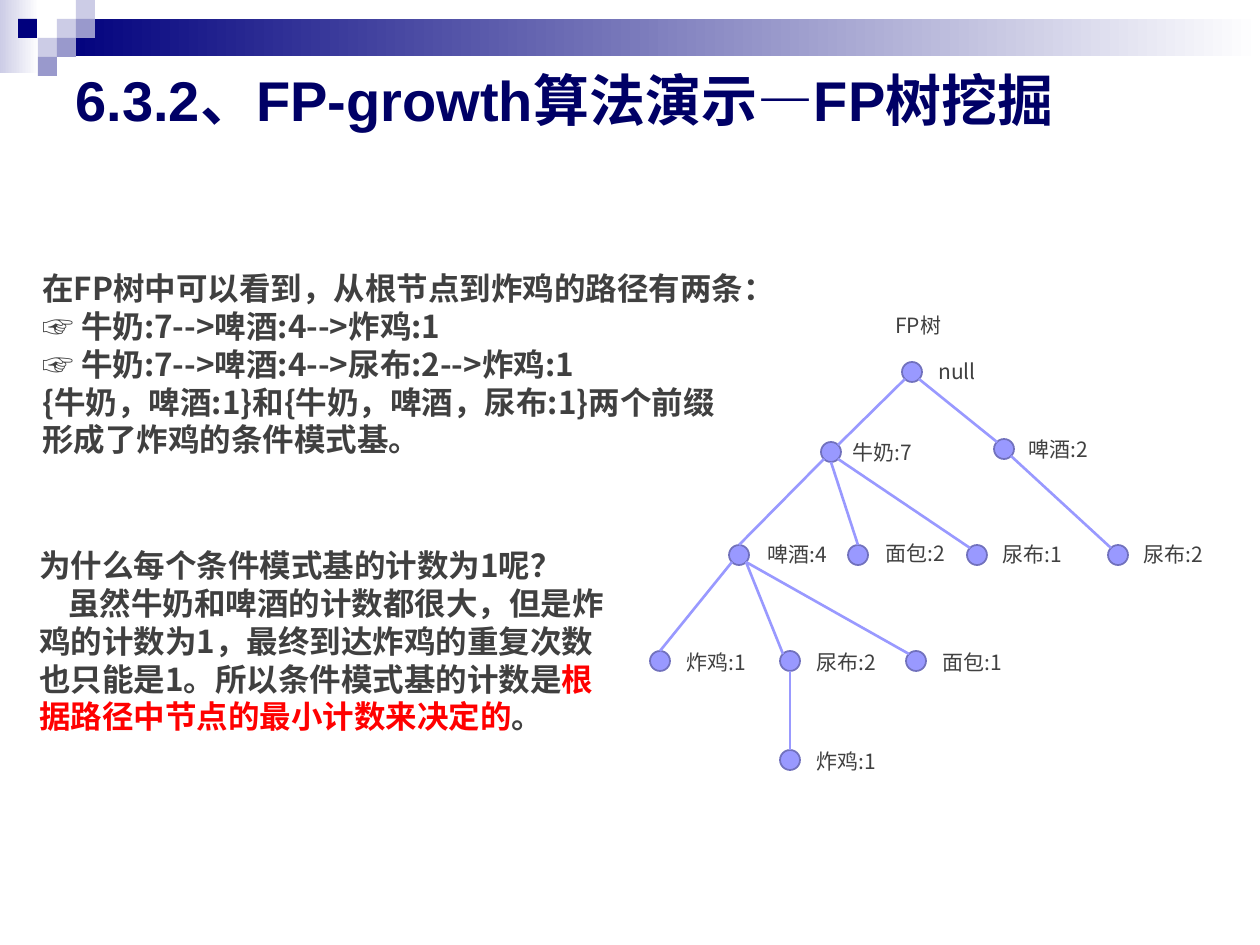
import pptx
import pptx.dml.color
import pptx.enum.shapes
import pptx.enum.text
import pptx.oxml
import pptx.oxml.ns
import pptx.util
import lxml.etree

RGB = pptx.dml.color.RGBColor
SHAPE = pptx.enum.shapes.MSO_SHAPE
NAVY = RGB(0x00, 0x00, 0x7D)
TITLE_NAVY = RGB(0x00, 0x00, 0x66)
LAVENDER = RGB(0xCC, 0xCC, 0xE6)
MUTED_BLUE = RGB(0x99, 0x99, 0xCC)
NODE_FILL = RGB(0x99, 0x99, 0xFF)
NODE_LINE = RGB(0x71, 0x71, 0xBD)
INK = RGB(0x40, 0x40, 0x40)
RED = RGB(0xFF, 0x00, 0x00)
WHITE = RGB(0xFF, 0xFF, 0xFF)
FONT = "Noto Sans CJK SC"
RADIUS = 10
SITES = {"top": (0, -10), "bottom": (0, 10), "top left": (-7, -7),
         "top right": (7, -7), "bottom left": (-7, 7), "bottom right": (7, 7)}

SQUARES = [(57, 19, LAVENDER), (76, 0, LAVENDER), (76, 19, MUTED_BLUE),
           (38, 38, LAVENDER), (18, 19, NAVY), (57, 38, MUTED_BLUE),
           (38, 57, MUTED_BLUE)]

NODES = {
    "root": (912, 372, "null", 926, 352, 63),
    "milk": (831, 452, "牛奶:7", 840, 433, 86),
    "beer right": (1004, 449, "啤酒:2", 1016, 430, 86),
    "beer": (739, 555, "啤酒:4", 755, 535, 86),
    "bread": (858, 555, "面包:2", 873, 534, 86),
    "diaper": (977, 555, "尿布:1", 990, 535, 86),
    "diaper right": (1118, 555, "尿布:2", 1131, 535, 86),
    "chicken": (660, 661, "炸鸡:1", 674, 643, 86),
    "diaper low": (790, 661, "尿布:2", 804, 643, 86),
    "bread low": (916, 661, "面包:1", 930, 643, 86),
    "chicken low": (790, 760, "炸鸡:1", 804, 742, 86),
}

EDGES = [
    ("root", "bottom left", "milk", "top right"),
    ("root", "bottom right", "beer right", "top left"),
    ("milk", "bottom left", "beer", "top"),
    ("milk", "bottom", "bread", "top"),
    ("beer", "bottom left", "chicken", "top"),
    ("beer", "bottom right", "diaper low", "top left"),
    ("diaper low", "bottom", "chicken low", "top"),
    ("beer", "bottom right", "bread low", "top left"),
    ("milk", "bottom right", "diaper", "top left"),
    ("beer right", "bottom right", "diaper right", "top left"),
]

PATHS = ["在FP树中可以看到，从根节点到炸鸡的路径有两条：",
         "☞ 牛奶:7-->啤酒:4-->炸鸡:1",
         "☞ 牛奶:7-->啤酒:4-->尿布:2-->炸鸡:1",
         "{牛奶，啤酒:1}和{牛奶，啤酒，尿布:1}两个前缀",
         "形成了炸鸡的条件模式基。"]
REASON = [("虽然牛奶和啤酒的计数都很大，但是炸鸡的计数为1，最终到达炸鸡的"
           "重复次数也只能是1。所以条件模式基的计数是", INK),
          ("根据路径中节点的最小计数来决定的", RED), ("。", INK)]


def px(length):
    """Turn pixels into EMU."""
    return pptx.util.Emu(round(length * 914400 / 126))


def add_run(paragraph, text, size=18, color=INK, bold=False, font=FONT):
    """Add formatted text to a paragraph."""
    run = paragraph.add_run()
    run.text = text
    run.font.size = pptx.util.Pt(size)
    run.font.bold = bold
    run.font.color.rgb = color
    run.font.name = font
    east_asian = lxml.etree.SubElement(
        run.font._element, pptx.oxml.ns.qn("a:ea"))
    east_asian.set("typeface", FONT)


class SlideBuilder:
    """Style and current slide."""

    def __init__(self, slide):
        """Keep the slide to draw on."""
        self.slide = slide

    def title(self, text, left, top, width, height):
        """Fill and place the title."""
        shape = self.slide.shapes.title
        shape.left, shape.top, shape.width, shape.height = map(
            px, (left, top, width, height))
        frame = shape.text_frame
        frame.auto_size = pptx.enum.text.MSO_AUTO_SIZE.NONE
        frame.vertical_anchor = pptx.enum.text.MSO_ANCHOR.MIDDLE
        paragraph = frame.paragraphs[0]
        paragraph.alignment = pptx.enum.text.PP_ALIGN.LEFT
        add_run(paragraph, text, size=32, color=TITLE_NAVY, bold=True, font="Arial")

    def shape(self, kind, left, top, width, height, color, fade=False, line=None):
        """Add a preset shape, solid or fading to white."""
        shape = self.slide.shapes.add_shape(
            kind, px(left), px(top), px(width), px(height))
        shape.shadow.inherit = False
        if fade:
            shape.fill.gradient()
            shape.fill.gradient_angle = 0
            for stop, position, tone in zip(
                    shape.fill.gradient_stops, (0, 1), (color, WHITE)):
                stop.position = position
                stop.color.rgb = tone
        else:
            shape.fill.solid()
            shape.fill.fore_color.rgb = color
        if line is None:
            shape.line.fill.background()
        else:
            shape.line.color.rgb = line
            shape.line.width = pptx.util.Pt(1)

    def text(self, paragraphs, left, top, width, height, size=18, bold=True, indents=()):
        """Add a text box of paragraphs, each a list of text and colour pairs."""
        box = self.slide.shapes.add_textbox(px(left), px(top), px(width), px(height))
        frame = box.text_frame
        frame.word_wrap = True
        for index, runs in enumerate(paragraphs):
            paragraph = frame.add_paragraph() if index else frame.paragraphs[0]
            paragraph.line_spacing = pptx.util.Pt(size * 1.2)
            if index < len(indents):
                paragraph._p.get_or_add_pPr().set("indent", str(px(indents[index])))
            for text, color in runs:
                add_run(paragraph, text, size=size, color=color, bold=bold)

    def node(self, x, y, label, left, top, width):
        """Add a tree node with its label."""
        self.shape(SHAPE.OVAL, x - RADIUS, y - RADIUS, 2 * RADIUS, 2 * RADIUS,
                   NODE_FILL, line=NODE_LINE)
        self.text([[(label, INK)]], left, top, width, 38, size=12, bold=False)

    def edge(self, parent, start, child, end):
        """Join two tree nodes."""
        points = [px(NODES[name][axis] + SITES[site][axis])
                  for name, site in ((parent, start), (child, end))
                  for axis in (0, 1)]
        connector = self.slide.shapes.add_connector(
            pptx.enum.shapes.MSO_CONNECTOR.STRAIGHT, *points)
        connector.line.color.rgb = NODE_FILL
        connector.line.width = pptx.util.Pt(1.5)
        lxml.etree.SubElement(
            connector._element.spPr, pptx.oxml.ns.qn("a:effectLst"))


def main():
    """Build and save the slide."""
    presentation = pptx.Presentation()
    presentation.slide_width = px(1260)
    presentation.slide_height = px(945)
    builder = SlideBuilder(
        presentation.slides.add_slide(presentation.slide_layouts[5]))
    builder.shape(SHAPE.RECTANGLE, 0, 0, 39, 73, LAVENDER, fade=True)
    builder.shape(SHAPE.RECTANGLE, 57, 19, 1203, 37, NAVY, fade=True)
    for left, top, color in SQUARES:
        builder.shape(SHAPE.RECTANGLE, left, top, 19, 19, color)
    builder.title("6.3.2、FP-growth算法演示—FP树挖掘", 63, 63, 1134, 72)
    for node in NODES.values():
        builder.node(*node)
    for edge in EDGES:
        builder.edge(*edge)
    builder.text([[("FP树", INK)]], 883, 306, 71, 38, size=12, bold=False)
    builder.text([[(line, INK)] for line in PATHS], 30, 263, 750, 242)
    builder.text([[("为什么每个条件模式基的计数为1呢？", INK)], REASON],
                 27, 540, 607, 204, indents=(0, 29))
    presentation.save("out.pptx")


if __name__ == "__main__":
    main()
